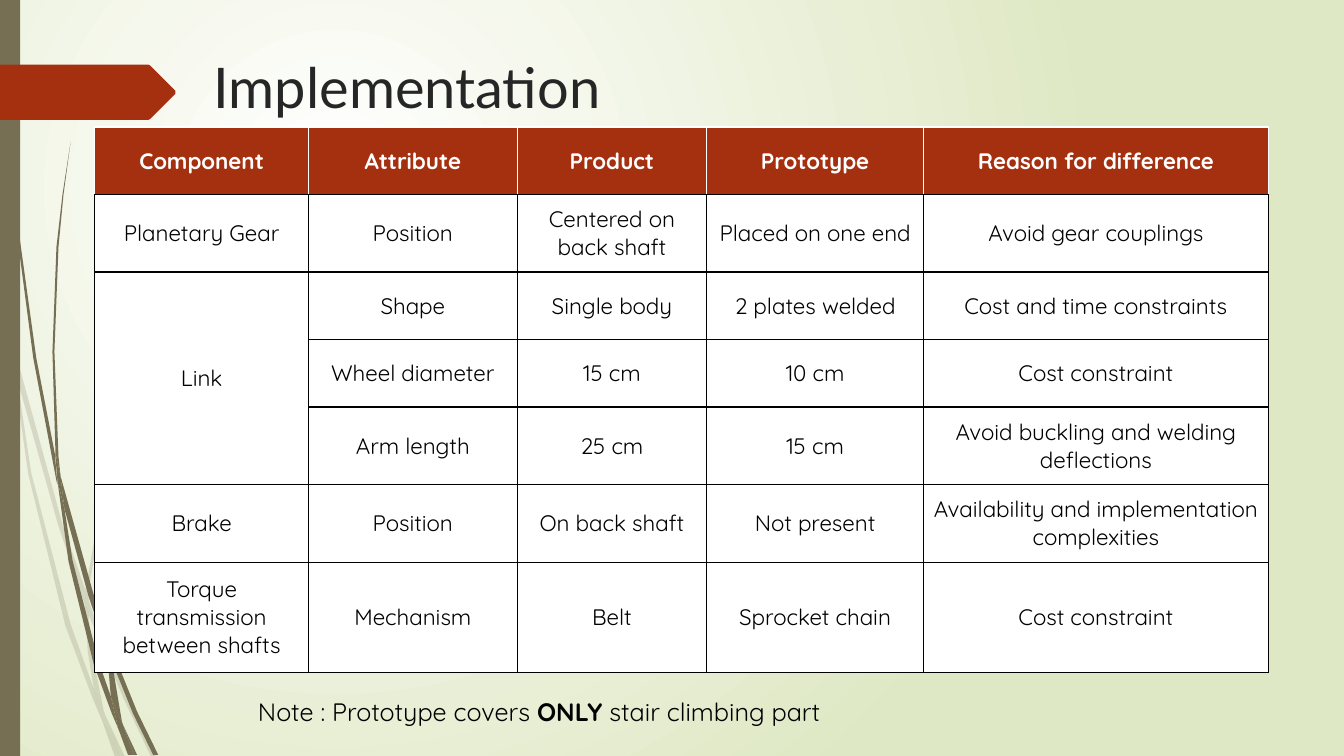
from lxml import etree
from pptx import Presentation, util as u
from pptx.dml.color import RGBColor
from pptx.enum import text
from pptx.oxml import ns

PX = 9144
OLIVE, RUST, WHITE, BLACK = "766F54", "A53010", "FFFFFF", "000000"

PALE = [
    "11 350 9 322 0 282 0 299 10 344",
    "58 522 84 599 85 586 62 520 14 345 17 376",
    "92 607 88 596 88 610 123 694 150 751 155 751 127 692",
    "119 751 124 751 105 711",
    "93 683 70 619 31 469 17 376 11 350 28 470 65 621 92 693 101 714 99 707",
    "84 599 87 646 93 683 96 692 105 711 103 706 91 646 88 610 88 608",
    "88 584 110 462 160 349 229 245 268 198 290 175 312 154 312 153 289 175 "
    "268 197 228 244 158 348 107 461 85 584 85 586 88 596",
    "101 714 114 751 119 751",
    "88 608 88 610 88 596 85 586 84 599",
    "96 692 93 683 99 707 101 714 119 751 105 711",
]
DARK = [
    "7 110 17 233 33 355 56 477 57 481 55 457 55 453 36 355 19 232 8 109 "
    "5 48 4 0 3 0 4 48",
    "88 592 106 645 106 633 106 631 93 590 60 472 64 505",
    "113 649 110 641 111 656 132 708 152 749 157 749 136 706",
    "110 691 98 657 72 556 64 505 57 477 68 557 93 659 111 708 117 722 116 717",
    "60 472 58 453 54 349 58 245 63 193 70 141 62 193 56 245 52 349 55 449",
    "133 749 136 749 122 719",
    "57 477 64 505 60 472 55 449 55 453",
    "111 633 125 552 158 476 205 406 231 374 245 359 261 344 260 344 245 358 "
    "231 373 204 405 156 474 122 551 106 631 110 641",
    "117 722 127 749 131 749",
    "106 645 110 691 116 706 122 719 121 716 111 656 109 651",
    "106 645 109 651 111 656 110 641 106 631 106 633",
    "116 706 110 691 116 717 117 722 130 749 133 749 122 719",
]
ARROW = "174 93 149 118 147 119 0 119 0 64 147 64 149 65 174 90"

COLS = [212, 207, 188, 215, 342]
ROWS = [67, 77, 67, 67, 77, 77, 109]
CELLS = [
    ["Component", "Attribute", "Product", "Prototype", "Reason for difference"],
    ["Planetary Gear", "Position", "Centered on back shaft",
     "Placed on one end", "Avoid gear couplings"],
    ["Link", "Shape", "Single body", "2 plates welded",
     "Cost and time constraints"],
    ["", "Wheel diameter", "15 cm", "10 cm", "Cost constraint"],
    ["", "Arm length", "25 cm", "15 cm",
     "Avoid buckling and welding deflections"],
    ["Brake", "Position", "On back shaft", "Not present",
     "Availability and implementation complexities"],
    ["Torque transmission between shafts", "Mechanism", "Belt",
     "Sprocket chain", "Cost constraint"],
]


def px(*sizes):
    return [u.Emu(size * PX) for size in sizes]


def tint(code):
    return RGBColor.from_string(code)


def node(parent, tag, **attrs):
    return etree.SubElement(parent, ns.qn(tag), attrs)


class Deck:
    head = "Lato"
    body = "Quicksand"

    def __init__(self):
        self.file = Presentation()
        self.file.slide_width, self.file.slide_height = px(1333, 750)
        self.slide = self.file.slides.add_slide(self.file.slide_layouts[5])

    def font(self, par, name, size, color, bold=False):
        font = par.font
        font.name, font.size, font.bold = name, u.Pt(size), bold
        font.color.rgb = tint(color)

    def paint(self, shape, color):
        shape.shadow.inherit = False
        shape.fill.solid()
        shape.fill.fore_color.rgb = tint(color)
        shape.line.fill.background()

    def backdrop(self, inner, outer):
        fill = self.slide.background.fill
        fill.gradient()
        for stop, color in zip(fill.gradient_stops, (inner, outer)):
            stop.color.rgb = tint(color)
        line = self.slide.element.xpath(".//p:bg//a:lin")[0]
        grad = line.getparent()
        grad.remove(line)
        ring = node(grad, "a:path", path="circle")
        node(ring, "a:fillToRect", l="50000", t="50000", r="100000", b="100000")

    def outline(self, shapes, points, color, alpha=100):
        nums = [int(num) for num in points.split()]
        first, *rest = zip(nums[::2], nums[1::2])
        pen = shapes.build_freeform(*first, scale=PX)
        pen.add_line_segments(rest, close=True)
        shape = pen.convert_to_shape()
        self.paint(shape, color)
        if alpha < 100:
            paint = shape.element.xpath("./p:spPr/a:solidFill/a:srgbClr")[0]
            node(paint, "a:alpha", val=str(alpha * 1000))

    def grass(self, blades, color, alpha=100):
        group = self.slide.shapes.add_group_shape()
        for blade in blades:
            self.outline(group.shapes, blade, color, alpha)

    def band(self, box, color):
        self.paint(self.slide.shapes.add_shape(1, *px(*box)), color)

    def title(self, words, box):
        shape = self.slide.shapes.title
        shape.left, shape.top, shape.width, shape.height = px(*box)
        frame = shape.text_frame
        frame.text = words
        frame.vertical_anchor = text.MSO_ANCHOR.TOP
        frame.auto_size = text.MSO_AUTO_SIZE.NONE
        par = frame.paragraphs[0]
        par.alignment = text.PP_ALIGN.LEFT
        self.font(par, self.head, 40, "262626")

    def border(self, cell, colors):
        props = cell._tc.get_or_add_tcPr()
        for spot, (side, color) in enumerate(zip("LRTB", colors)):
            line = etree.Element(ns.qn("a:ln" + side), w=str(u.Pt(1)))
            node(node(line, "a:solidFill"), "a:srgbClr", val=color)
            props.insert(spot, line)

    def cell(self, cell, words, top):
        cell.text = words
        cell.vertical_anchor = text.MSO_ANCHOR.MIDDLE
        cell.margin_left, cell.margin_right = px(9, 9)
        cell.fill.solid()
        cell.fill.fore_color.rgb = tint(RUST if top else WHITE)
        par = cell.text_frame.paragraphs[0]
        par.alignment = text.PP_ALIGN.CENTER
        self.font(par, self.body, 16, WHITE if top else BLACK, top)
        self.border(cell, [WHITE if top else BLACK] * 3 + [BLACK])

    def table(self, left, top):
        box = px(left, top, sum(COLS), sum(ROWS))
        grid = self.slide.shapes.add_table(len(ROWS), len(COLS), *box).table
        for col, width in zip(grid.columns, px(*COLS)):
            col.width = width
        for row, height in zip(grid.rows, px(*ROWS)):
            row.height = height
        for r, line in enumerate(CELLS):
            for c, words in enumerate(line):
                self.cell(grid.cell(r, c), words, r == 0)
        grid.cell(2, 0).merge(grid.cell(4, 0))

    def note(self, parts, box):
        frame = self.slide.shapes.add_textbox(*px(*box)).text_frame
        frame.word_wrap = True
        par = frame.paragraphs[0]
        self.font(par, self.body, 18, BLACK)
        for words, bold in parts:
            run = par.add_run()
            run.text = words
            run.font.bold = bold

    def save(self):
        self.file.save("out.pptx")


def main():
    deck = Deck()
    deck.backdrop(WHITE, "DFE8C4")
    deck.grass(PALE, OLIVE, 20)
    deck.grass(DARK, OLIVE)
    deck.band((0, 0, 20, 750), OLIVE)
    deck.outline(deck.slide.shapes, ARROW, RUST)
    deck.title("Implementation", (202, 47, 1056, 90))
    deck.table(94, 126)
    deck.note([("Note : Prototype covers ", False), ("ONLY", True),
               (" stair climbing part", False)], (246, 686, 887, 40))
    deck.save()


if __name__ == "__main__":
    main()
